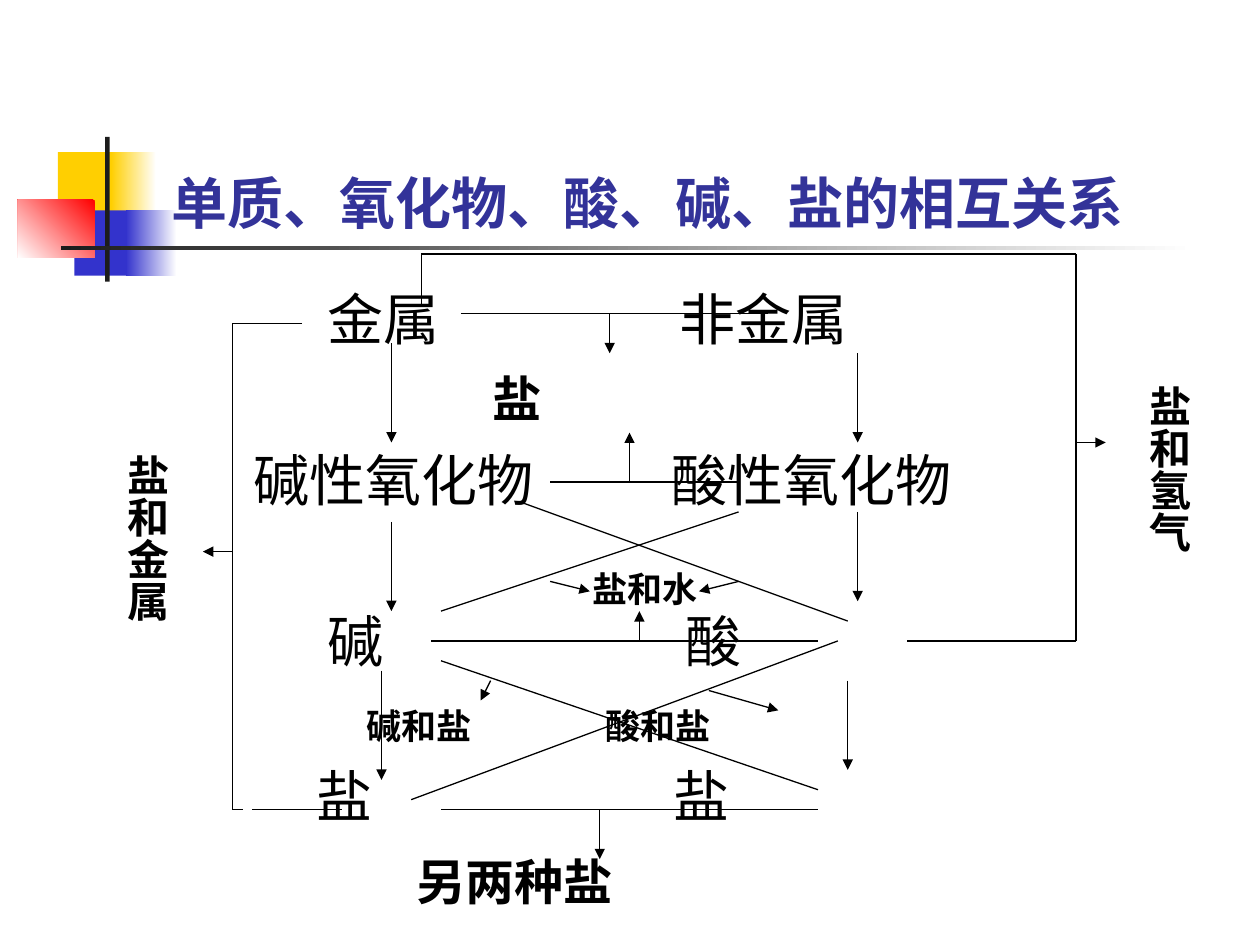
from pptx import Presentation
from pptx.dml.color import RGBColor
from pptx.enum.shapes import MSO_CONNECTOR, MSO_SHAPE
from pptx.enum.text import MSO_ANCHOR, MSO_AUTO_SIZE
from pptx.oxml.ns import qn
from pptx.util import Cm, Pt
from lxml import etree

STRAIGHT, RECTANGLE = MSO_CONNECTOR.STRAIGHT, MSO_SHAPE.RECTANGLE
TOP, BOTTOM = MSO_ANCHOR.TOP, MSO_ANCHOR.BOTTOM
FIT_SHAPE = MSO_AUTO_SIZE.SHAPE_TO_FIT_TEXT

BLACK = RGBColor(0x00, 0x00, 0x00)
WHITE = RGBColor(0xFF, 0xFF, 0xFF)
YELLOW = RGBColor(0xFF, 0xCF, 0x01)
BLUE = RGBColor(0x33, 0x33, 0xCC)
RED = RGBColor(0xFF, 0x00, 0x00)
CHARCOAL = RGBColor(0x1C, 0x1C, 0x1C)
TITLE_BLUE = RGBColor(0x33, 0x33, 0x99)

FONT = "Cabin"

# Ornament bars: left, top, width, height, fill (colour, or two colours and an angle)
ORNAMENT = [
    (1.03, 0.31, 1.22, 1.32, YELLOW),
    (2.1, 0.31, 0.91, 1.32, (WHITE, YELLOW, 180)),
    (1.36, 1.48, 1.17, 1.32, BLUE),
    (2.4, 1.48, 1.02, 1.32, (WHITE, BLUE, 180)),
    (0.22, 1.27, 1.55, 1.17, (RED, WHITE, 225)),
    (1.98, 0, 0.09, 2.92, CHARCOAL),
    (1.09, 2.19, 22.86, 0.09, (WHITE, CHARCOAL, 180)),
]

# Rows of substances: size, bold, space before, (tab position, words) pairs
ROWS = [
    (32, False, 0, [(2.27, "金属"), (9.35, "非金属")]),
    (28, True, 9.9, [(5.58, "盐")]),
    (32, False, 9.9, [(0.77, "碱性氧化物"), (9.19, "酸性氧化物")]),
    (32, False, 53.7, [(2.27, "碱"), (9.47, "酸")]),
    (20, True, 17.5, [(3.04, "碱和盐"), (7.86, "酸和盐")]),
    (32, False, 8.7, [(2.04, "盐"), (9.23, "盐")]),
    (28, True, 12.8, [(4.06, "另两种盐")]),
]

# Lines between reactants, from x, y to x, y
LINKS = [
    (5.2, 1.2, 11.4, 1.2), (7, 4.6, 10.8, 4.6),
    (4.8, 11.2, 12.4, 11.2), (4.6, 7.8, 12.4, 7.8),
    (4.8, 7.2, 10.8, 5.2), (6.4, 5, 13, 7.4),
    (4.8, 8.2, 12.4, 10.8), (4.2, 11, 12.8, 7.8),
    # left bracket
    (2, 1.4, 0.6, 1.4), (0.6, 1.4, 0.6, 11.2),
    (1, 11.2, 2.8, 11.2), (0.6, 11.2, 0.8, 11.2),
    # right bracket
    (4.4, 0, 4.4, 1), (4.4, 0, 17.6, 0),
    (17.6, 0, 17.6, 7.8), (14.2, 7.8, 17.6, 7.8),
]

# Arrows to products, from x, y to x, y
ARROWS = [
    (3.8, 1.8, 3.8, 3.8), (3.8, 5.4, 3.8, 7.2), (3.6, 8.4, 3.6, 10.6),
    (13.2, 2, 13.2, 3.8), (13.2, 5.2, 13.2, 7), (13, 8.6, 13, 10.4),
    (8.2, 1.2, 8.2, 2), (8.6, 4.6, 8.6, 3.6),
    (7, 6.6, 7.8, 6.8), (10.8, 6.6, 10, 6.8), (8.8, 7.8, 8.8, 7.2),
    (5.8, 8.6, 5.6, 9), (10.2, 8.8, 11.6, 9.2),
    (8.2, 11, 8.2, 11), (8, 11.2, 8, 12.2),
    (0.6, 6, 0, 6), (17.6, 3.8, 18.2, 3.8),
]


def style(target, formats):
    for name, value in formats.items():
        setattr(target, name, value)


def add_box(page, box, anchor=TOP):
    frame = page.shapes.add_textbox(*(Cm(v) for v in box)).text_frame
    style(frame, {"word_wrap": True, "vertical_anchor": anchor})
    return frame


def write(para, text, size, bold, colour=BLACK):
    span = para.add_run()
    span.text = text
    style(span.font, {"name": FONT, "size": Pt(size), "bold": bold})
    span.font.color.rgb = colour


def add_label(page, box, text, size, colour=BLACK, anchor=TOP, vertical=False):
    frame = add_box(page, box, anchor)
    if vertical:
        frame._txBody.bodyPr.set("vert", "eaVert")
        style(frame, {"margin_left": Cm(0.13), "margin_right": Cm(0.13),
                      "margin_top": Cm(0.25), "margin_bottom": Cm(0.25),
                      "auto_size": FIT_SHAPE})
    write(frame.paragraphs[0], text, size, True, colour)


def add_ornament(page, left, top):
    for x, y, width, height, paint in ORNAMENT:
        bar = page.shapes.add_shape(RECTANGLE, Cm(left + x), Cm(top + y),
                                    Cm(width), Cm(height))
        bar.shadow.inherit = False
        bar.line.fill.background()
        if isinstance(paint, RGBColor):
            bar.fill.solid()
            bar.fill.fore_color.rgb = paint
            continue
        start, end, angle = paint
        bar.fill.gradient()
        bar.fill.gradient_angle = angle
        for stop, colour in zip(bar.fill.gradient_stops, (start, end)):
            stop.color.rgb = colour


def add_substances(page, box):
    frame = add_box(page, box)
    for index, (size, bold, before, words) in enumerate(ROWS):
        para = frame.add_paragraph() if index else frame.paragraphs[0]
        if index:
            para.space_before = Pt(before)
        tabs = etree.SubElement(para._p.get_or_add_pPr(), qn("a:tabLst"))
        for position, _ in words:
            etree.SubElement(tabs, qn("a:tab"), pos=str(Cm(position)), algn="l")
        for _, word in words:
            write(para, "\t" + word, size, bold)


def add_line(page, left, top, ends, arrow=False):
    x1, y1, x2, y2 = ends
    line = page.shapes.add_connector(STRAIGHT, Cm(left + x1), Cm(top + y1),
                                     Cm(left + x2), Cm(top + y2))
    line.line.width = Pt(0.75)
    line.line.color.rgb = BLACK
    if arrow:
        etree.SubElement(line.line._get_or_add_ln(), qn("a:tailEnd"), type="triangle")
    etree.SubElement(line._element.spPr, qn("a:effectLst"))


def add_diagram(page, left, top):
    add_substances(page, (left, top + 0.49, 20.78, 13.44))
    for ends in LINKS:
        add_line(page, left, top, ends)
    for ends in ARROWS:
        add_line(page, left, top, ends, arrow=True)
    # Products of the reactions
    add_label(page, (left + 7.6, top + 6.2, 4, 1.12), "盐和水", 20)
    add_label(page, (left - 2, top + 3.8, 1.52, 6.4), "盐和金属", 24, vertical=True)
    add_label(page, (left + 18.6, top + 2.4, 1.52, 5.4), "盐和氢气", 24, vertical=True)


def main():
    deck = Presentation()
    style(deck, {"slide_width": Cm(25.4), "slide_height": Cm(19.05)})
    page = deck.slides.add_slide(deck.slide_layouts[6])
    add_ornament(page, 0.14, 2.76)
    add_label(page, (3.2, 1.7, 21.64, 3.18), "单质、氧化物、酸、碱、盐的相互关系",
              32, TITLE_BLUE, BOTTOM)
    add_diagram(page, 4.09, 5.12)
    deck.save("out.pptx")


if __name__ == "__main__":
    main()
